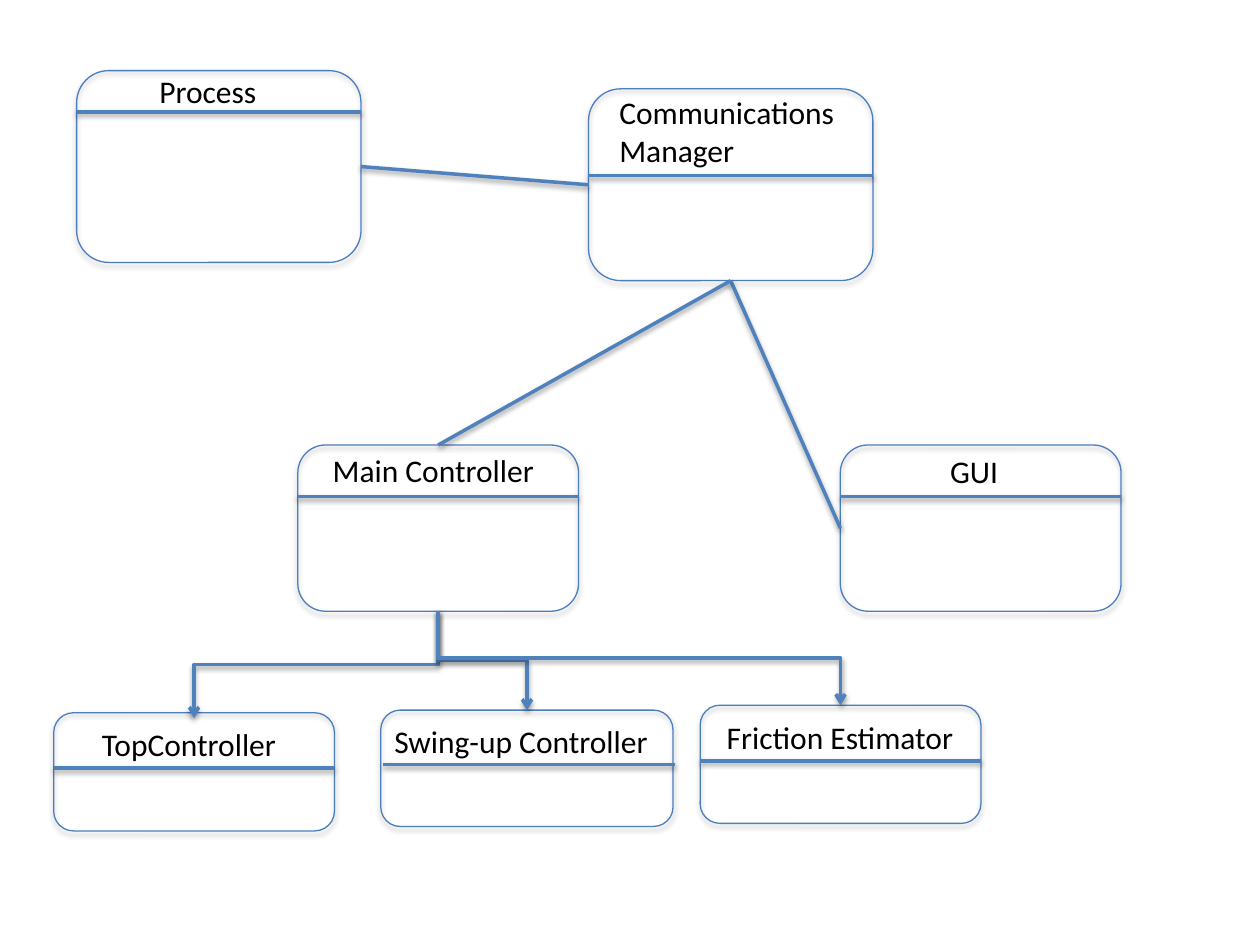
from dataclasses import dataclass

from lxml.etree import SubElement
from pptx import Presentation
from pptx.dml.color import RGBColor
from pptx.enum.shapes import MSO_CONNECTOR, MSO_SHAPE
from pptx.enum.text import MSO_AUTO_SIZE
from pptx.oxml.ns import qn
from pptx.util import Pt

LINE = "4F81BD"
OUTLINE = "4B7EBC"
TOP, LEFT, BOTTOM, RIGHT = range(4)


@dataclass
class Box:
    title: str
    x: float
    y: float
    w: float
    h: float
    rule_y: float
    text_x: float
    text_y: float
    text_w: float
    rule_dx: float = 0
    text_h: float = 29

    def site(self, index: int) -> tuple[float, float]:
        mid_x, mid_y = self.x + self.w / 2, self.y + self.h / 2
        return [(mid_x, self.y), (self.x, mid_y),
                (mid_x, self.y + self.h), (self.x + self.w, mid_y)][index]


@dataclass
class Link:
    start: str
    start_site: int
    end: str
    end_site: int


@dataclass
class Branch:
    child: str
    overlap: float = 0


BOXES = [
    Box("TopController", 30.7, 407.3, 160.4, 67.5, 439, 51.2, 410.5, 119),
    Box("GUI", 480.2, 254.3, 160.4, 95, 283.7, 535.8, 255, 47),
    Box("Process", 43.8, 40.4, 162.5, 109.6, 64, 84, 37.5, 98),
    Box("Swing-up Controller", 217.6, 405.8, 167, 66.5, 437, 218.2, 409, 181.5, rule_dx=1.4),
    Box("Friction Estimator", 400.1, 403, 160.4, 67.5, 434.8, 408.2, 406.6, 152),
    Box("Main Controller", 170.2, 254.3, 160.4, 95, 283.7, 183, 254.1, 139.5),
    Box("Communications Manager", 336.3, 50.8, 162.5, 109.6, 100.3, 346.8, 49.5, 181, text_h=51),
]
BRANCHES = [
    Branch("TopController", 3),
    Branch("Swing-up Controller"),
    Branch("Friction Estimator"),
]
LINKS = [
    Link("GUI", LEFT, "Communications Manager", BOTTOM),
    Link("Communications Manager", BOTTOM, "Main Controller", TOP),
    Link("Communications Manager", LEFT, "Process", RIGHT),
]


def color(value: str) -> RGBColor:
    return RGBColor.from_string(value)


def add_shadow(shape, dist: float, alpha: int) -> None:
    effects = SubElement(shape.element.spPr, qn("a:effectLst"))
    shadow = SubElement(effects, qn("a:outerShdw"), blurRad=str(Pt(3.1)),
                        dist=str(Pt(dist)), dir="5400000", rotWithShape="0")
    black = SubElement(shadow, qn("a:srgbClr"), val="000000")
    SubElement(black, qn("a:alpha"), val=str(alpha * 1000))


def add_line(s, x1: float, y1: float, x2: float, y2: float,
             kind=MSO_CONNECTOR.STRAIGHT, arrow: bool = False):
    cn = s.shapes.add_connector(kind, Pt(x1), Pt(y1), Pt(x2), Pt(y2))
    cn.line.color.rgb = color(LINE)
    cn.line.width = Pt(2)
    if arrow:
        SubElement(cn.line._get_or_add_ln(), qn("a:tailEnd"), type="arrow")
    add_shadow(cn, 1.6, 38)
    return cn


def add_box(s, box: Box):
    sp = s.shapes.add_shape(MSO_SHAPE.ROUNDED_RECTANGLE,
                            Pt(box.x), Pt(box.y), Pt(box.w), Pt(box.h))
    sp.fill.background()
    sp.line.color.rgb = color(OUTLINE)
    sp.line.width = Pt(0.75)
    add_shadow(sp, 1.8, 35)
    rule_x = box.x + box.rule_dx
    add_line(s, rule_x, box.rule_y, rule_x + box.w, box.rule_y)
    tb = s.shapes.add_textbox(Pt(box.text_x), Pt(box.text_y), Pt(box.text_w), Pt(box.text_h))
    tf = tb.text_frame
    tf.word_wrap = True
    tf.auto_size = MSO_AUTO_SIZE.SHAPE_TO_FIT_TEXT
    r = tf.paragraphs[0].add_run()
    r.text = box.title
    r.font.name = "Calibri"
    r.font.size = Pt(18)
    r.font.color.rgb = color("000000")
    return sp


def add_branch(s, parent: Box, child: Box, overlap: float) -> None:
    x1, y1 = parent.site(BOTTOM)
    x2, y2 = child.site(TOP)
    y2 += overlap
    cx, cy = (x1 + x2) / 2, (y1 + y2) / 2
    half_w, half_h = (y2 - y1) / 2, abs(x2 - x1) / 2
    side = 1 if x2 < x1 else -1
    cn = add_line(s, cx - side * half_w, cy - half_h, cx + side * half_w, cy + half_h,
                  MSO_CONNECTOR.ELBOW, True)
    cn.element.spPr.xfrm.set("rot", str((side * 90 % 360) * 60000))


def main() -> None:
    prs = Presentation()
    prs.slide_width, prs.slide_height = Pt(720), Pt(540)
    s = prs.slides.add_slide(prs.slide_layouts[6])
    boxes = {box.title: box for box in BOXES}
    shapes = {box.title: add_box(s, box) for box in BOXES}
    for branch in BRANCHES:
        add_branch(s, boxes["Main Controller"], boxes[branch.child], branch.overlap)
    for link in LINKS:
        cn = add_line(s, *boxes[link.start].site(link.start_site),
                      *boxes[link.end].site(link.end_site))
        cn.begin_connect(shapes[link.start], link.start_site)
        cn.end_connect(shapes[link.end], link.end_site)
    prs.save("out.pptx")


main()
